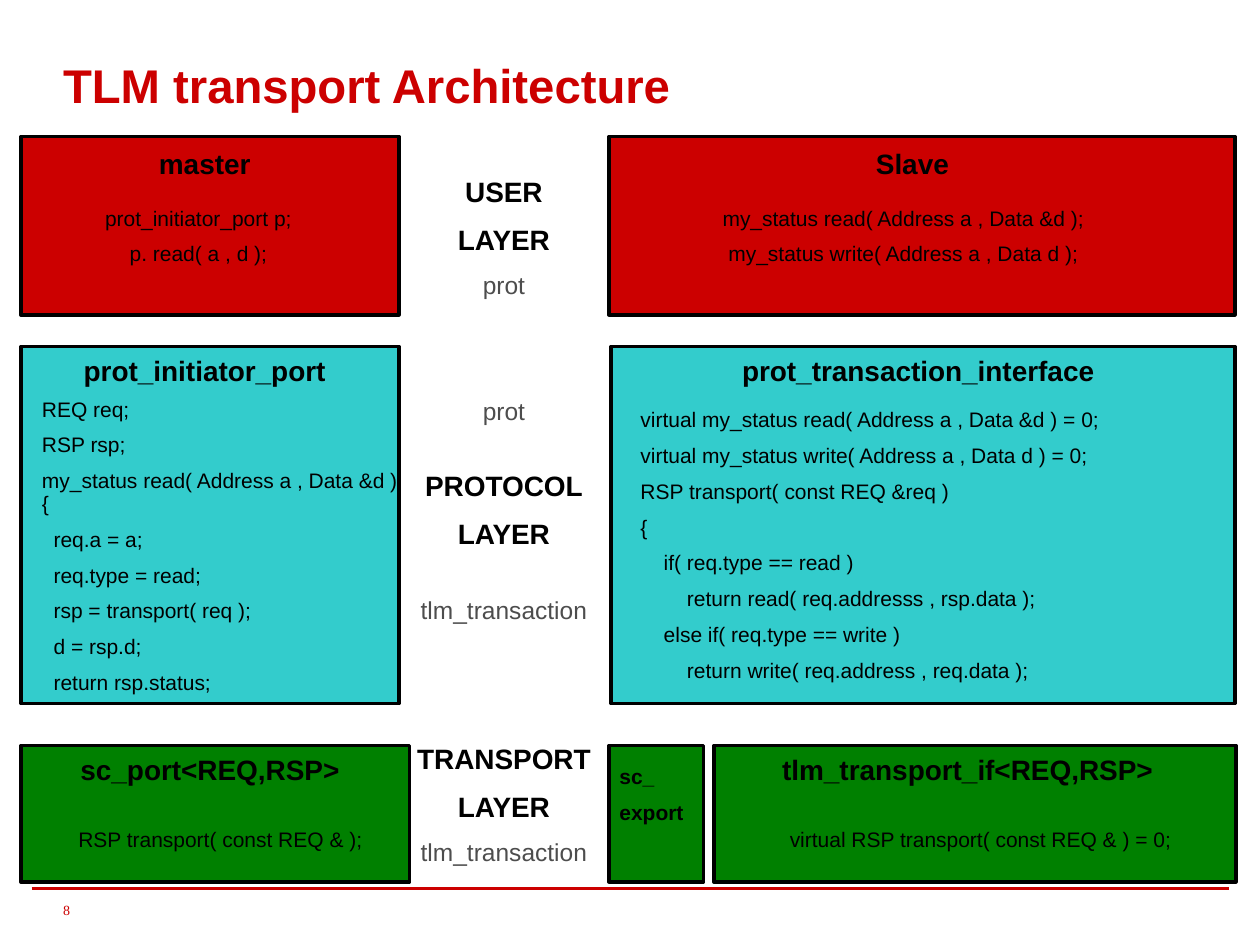
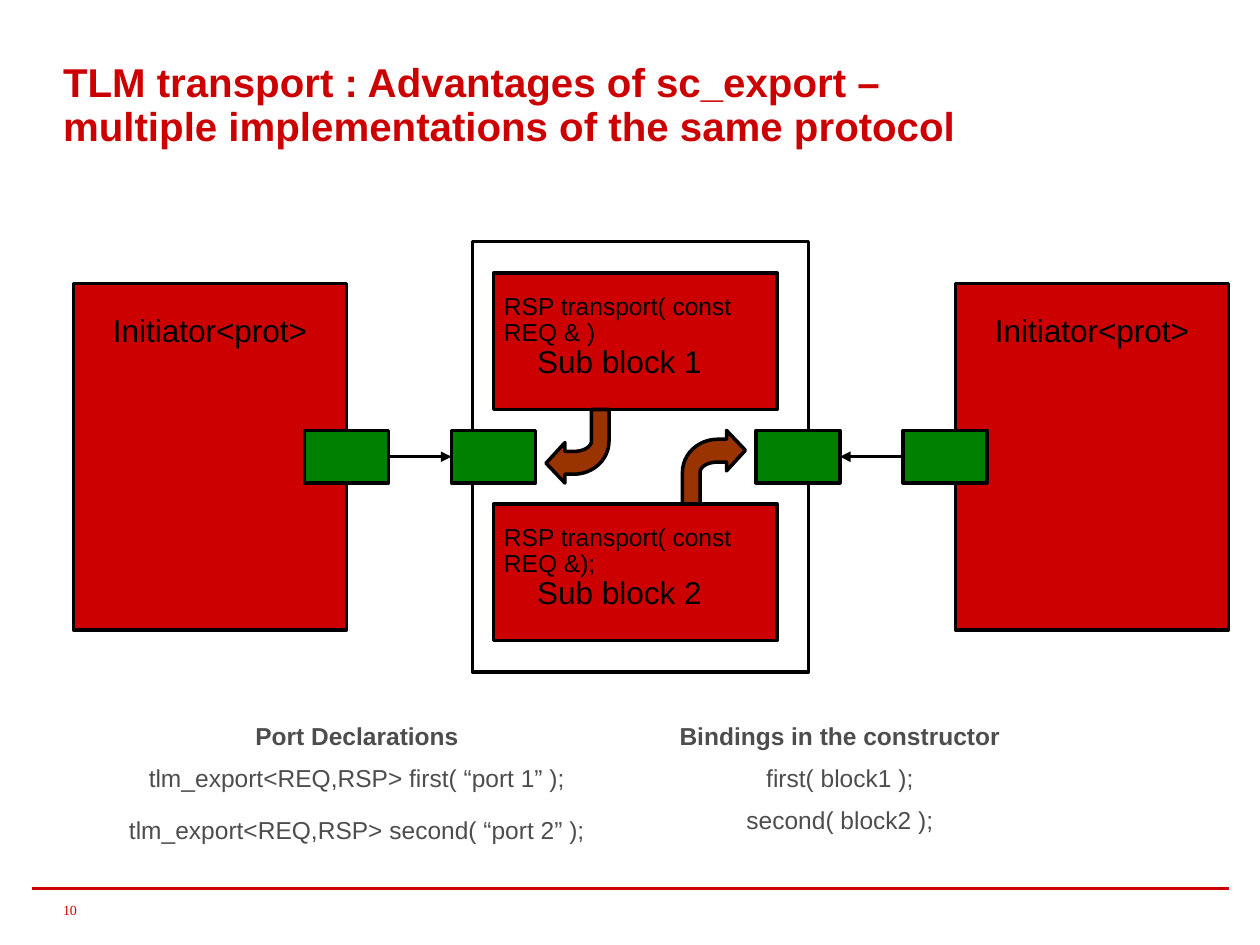
from dataclasses import dataclass
from math import cos, pi, sin

from lxml.etree import SubElement
from pptx import Presentation
from pptx.dml.color import RGBColor as RGB
from pptx.enum.shapes import MSO_CONNECTOR as CONN, MSO_SHAPE as SHAPE
from pptx.enum.text import MSO_ANCHOR as ANCHOR, MSO_AUTO_SIZE as FIT, PP_ALIGN as ALIGN
from pptx.oxml.ns import qn
from pptx.util import Inches, Pt

COLS, ROWS = 120, 90  # grid over the slide, twelve cells to the inch


@dataclass(frozen=True)
class Theme:
    red: str = "CC0000"
    teal: str = "33CCCC"
    green: str = "008000"
    brown: str = "993300"
    black: str = "000000"
    grey: str = "4D4D4D"
    font: str = "Arial"
    number_font: str = "Times New Roman"
    heading: int = 16
    code: int = 12
    note: int = 14
    block: int = 18
    number: int = 8
    border: float = 2
    rule: float = 1.5
    leading: float = 0.9
    gap: float = 0.625  # space before a paragraph, as a share of its size


T = Theme()
STYLES = {
    "heading": dict(size=T.heading, color=T.black, bold=True, align=ALIGN.CENTER),
    "code": dict(size=T.code, color=T.black, align=ALIGN.LEFT),
    "call": dict(size=T.code, color=T.black, align=ALIGN.CENTER),
    "export": dict(size=T.code, color=T.black, bold=True, align=ALIGN.LEFT),
    "note": dict(size=T.note, color=T.grey, align=ALIGN.CENTER),
    "signature": dict(size=T.note, color=T.black, align=ALIGN.LEFT),
    "block": dict(size=T.block, color=T.black, align=ALIGN.CENTER),
    "number": dict(size=T.number, color=T.red, name=T.number_font, align=ALIGN.LEFT),
}


def quarter(rx, ry, cx=0.56, cy=0.57, steps=12):
    """Quarter of an ellipse, from its left end to its top."""
    turns = [i * pi / 2 / steps for i in range(steps + 1)]
    return [(cx - rx * cos(a), cy - ry * sin(a)) for a in turns]


# Bent arrow outline, in shares of its width and height
BENT_ARROW = [(0, 1), *quarter(0.56, 0.45), (0.7, 0.12), (0.7, 0), (1, 0.27),
              (0.7, 0.55), (0.7, 0.43), *reversed(quarter(0.28, 0.14)), (0.28, 1)]


class Deck:
    def __init__(self):
        self.prs = Presentation()
        self.prs.slide_width, self.prs.slide_height = Inches(10), Inches(7.5)
        self.slide = None

    def x(self, cols):
        return round(self.prs.slide_width * cols / COLS)

    def y(self, rows):
        return round(self.prs.slide_height * rows / ROWS)

    def area(self, left, top, width, height):
        return self.x(left), self.y(top), self.x(width), self.y(height)

    # Text
    def frame(self, tf, **extra):
        fmt = dict(word_wrap=True, vertical_anchor=ANCHOR.TOP, auto_size=FIT.NONE,
                   margin_left=0, margin_right=0, margin_top=0, margin_bottom=0)
        for key, value in {**fmt, **extra}.items():
            setattr(tf, key, value)

    def fill_text(self, tf, lines, size, color, align, bold=False, name=T.font):
        for i, line in enumerate(lines):
            p = tf.add_paragraph() if i else tf.paragraphs[0]
            p.text = line
            p.alignment, p.line_spacing = align, T.leading
            p.space_before = Pt(size * T.gap if i else 0)
            for r in p.runs:
                for key, value in dict(size=Pt(size), bold=bold, name=name).items():
                    setattr(r.font, key, value)
                r.font.color.rgb = RGB.from_string(color)

    def text(self, style, left, top, width, *lines, height=None, fill=None, **extra):
        size = STYLES[style]["size"]
        rows = len(lines) + sum(line.count("\v") for line in lines)
        points = size * (1.15 * T.leading * rows + T.gap * (len(lines) - 1))
        sp = self.slide.shapes.add_textbox(
            *self.area(left, top, width, height or points / 6))
        if fill:
            sp.fill.solid()
            sp.fill.fore_color.rgb = RGB.from_string(fill)
        self.frame(sp.text_frame, **{"auto_size": FIT.SHAPE_TO_FIT_TEXT, **extra})
        self.fill_text(sp.text_frame, lines, **STYLES[style])
        return sp.text_frame

    # Shapes
    def paint(self, sp, fill):
        sp.shadow.inherit = False
        if fill:
            sp.fill.solid()
            sp.fill.fore_color.rgb = RGB.from_string(fill)
        else:
            sp.fill.background()
        sp.line.color.rgb = RGB.from_string(T.black)
        sp.line.width = Pt(T.border)

    def box(self, fill, *area):
        self.paint(self.slide.shapes.add_shape(SHAPE.RECTANGLE, *self.area(*area)), fill)

    def bent_arrow(self, left, top, width, height, rotation=0):
        points = [(self.x(left + u * width), self.y(top + v * height))
                  for u, v in BENT_ARROW]
        builder = self.slide.shapes.build_freeform(*points[0])
        builder.add_line_segments(points[1:], close=True)
        sp = builder.convert_to_shape()
        sp.rotation = rotation
        self.paint(sp, T.brown)

    def line(self, x1, x2, row, color=T.black, width=T.border, end=None):
        s = self.slide.shapes.add_connector(
            CONN.STRAIGHT, self.x(x1), self.y(row), self.x(x2), self.y(row))
        s.line.color.rgb = RGB.from_string(color)
        s.line.width = Pt(width)
        sp_pr = s._element.spPr
        if end:
            SubElement(sp_pr.find(qn("a:ln")), qn(f"a:{end}End"), type="triangle")
        SubElement(sp_pr, qn("a:effectLst"))

    # Slide with its title, footer rule and number
    def new_slide(self, title, size, number):
        self.slide = self.prs.slides.add_slide(self.prs.slide_layouts[5])
        sp = self.slide.shapes.title
        sp.left, sp.top, sp.width, sp.height = self.area(6, 6, 88, 13)
        self.frame(sp.text_frame)
        self.fill_text(sp.text_frame, [title], size, T.red, ALIGN.LEFT, bold=True)
        self.line(3, 117, 84.6, T.red, T.rule)
        self.text("number", 6, 84.6, 47.9, number, height=4.4,
                  vertical_anchor=ANCHOR.MIDDLE, auto_size=FIT.NONE)


def architecture(d):
    d.new_slide("TLM transport Architecture", 27, "8")

    # User layer
    d.box(T.red, 58, 13, 59.6, 17)
    d.text("heading", 59.6, 14.3, 54.6, "Slave", fill=T.red)
    d.text("call", 61.7, 19.8, 48.7, "my_status read( Address a , Data &d );",
           "my_status write( Address a , Data d );", fill=T.red)
    d.box(T.red, 2, 13, 36, 17)
    d.text("heading", 3, 14.3, 33, "master", fill=T.red)
    d.text("call", 4.2, 19.8, 29.4, "prot_initiator_port p;", "p. read( a , d );",
           fill=T.red)

    # Transport layer
    d.box(T.green, 2, 71, 37, 13)
    d.text("heading", 3, 72, 34, "sc_port<REQ,RSP>")
    d.text("call", 3, 79, 36, "RSP transport( const REQ & );")
    d.box(T.green, 68, 71, 49.7, 13)
    d.text("heading", 69.4, 72, 45.5, "tlm_transport_if<REQ,RSP>")
    d.text("call", 70.8, 79, 45.2, "virtual RSP transport( const REQ & ) = 0;")
    d.box(T.green, 58, 71, 9, 13)
    d.text("export", 59, 73, 7, "sc_", "export")

    # Layer names and what passes between them
    for left, top, width, layer in ((41.5, 17, 13, "USER"), (38, 45, 20, "PROTOCOL"),
                                    (39.5, 71, 17, "TRANSPORT")):
        d.text("heading", left, top, width, layer, "LAYER")
    for top, link in ((26, "prot"), (38, "prot"),
                      (80, "tlm_transaction"), (57, "tlm_transaction")):
        d.text("note", 39.5, top, 17, link)

    # Protocol layer
    d.box(T.teal, 58.2, 33, 59.4, 34)
    d.text("heading", 60.2, 34, 54.5, "prot_transaction_interface")
    d.text("code", 61, 39, 54,
           "virtual my_status read( Address a , Data &d ) = 0;",
           "virtual my_status write( Address a , Data d ) = 0;",
           "RSP transport( const REQ &req )",
           "{",
           "    if( req.type == read )",
           "        return read( req.addresss , rsp.data );",
           "    else if( req.type == write )",
           "        return write( req.address , req.data );")
    d.box(T.teal, 2, 33, 36, 34)
    d.text("heading", 3, 34, 33, "prot_initiator_port")
    d.text("code", 4, 38, 35,
           "REQ req;",
           "RSP rsp;",
           "my_status read( Address a , Data &d )\v{",
           "  req.a = a;",
           "  req.type = read;",
           "  rsp = transport( req );",
           "  d = rsp.d;",
           "  return rsp.status;")


def advantages(d):
    d.new_slide("TLM transport : Advantages of sc_export – multiple implementations "
                "of the same protocol", 23, "10")

    # Initiators on both sides of the target
    for left in (7, 91):
        d.box(T.red, left, 27, 26, 33)
        d.text("block", left + 3, 30, 20, "Initiator<prot>")

    # Target with its two sub blocks
    d.box(None, 45, 23, 32, 41)
    for top, signature, name in ((26, "RSP transport( const REQ & )", "Sub block 1"),
                                 (48, "RSP transport( const REQ &);", "Sub block 2")):
        d.box(T.red, 47, top, 27, 13)
        d.text("signature", 48, top + 2, 25, signature, height=5)
        d.text("block", 50, top + 7, 18, name)
    d.bent_arrow(52, 39, 6, 7, rotation=180)
    d.bent_arrow(65, 41, 6, 7)

    # Ports and exports
    d.line(37, 43, 43.5, end="tail")
    d.line(80, 88, 43.5, end="head")
    for left in (29, 43, 72, 86):
        d.box(T.green, left, 41, 8, 5)

    # Code notes
    ports = d.text("note", 6, 69, 56, "Port Declarations",
                   "tlm_export<REQ,RSP> first( “port 1” );",
                   "tlm_export<REQ,RSP> second( “port 2” );")
    ports.paragraphs[2].space_before = Pt(14.5)
    bindings = d.text("note", 53, 69, 54, "Bindings in the constructor",
                      "first( block1 );", "second( block2 );")
    for tf in (ports, bindings):
        tf.paragraphs[0].runs[0].font.bold = True


def main():
    deck = Deck()
    architecture(deck)
    advantages(deck)
    deck.prs.save("out.pptx")


if __name__ == "__main__":
    main()
